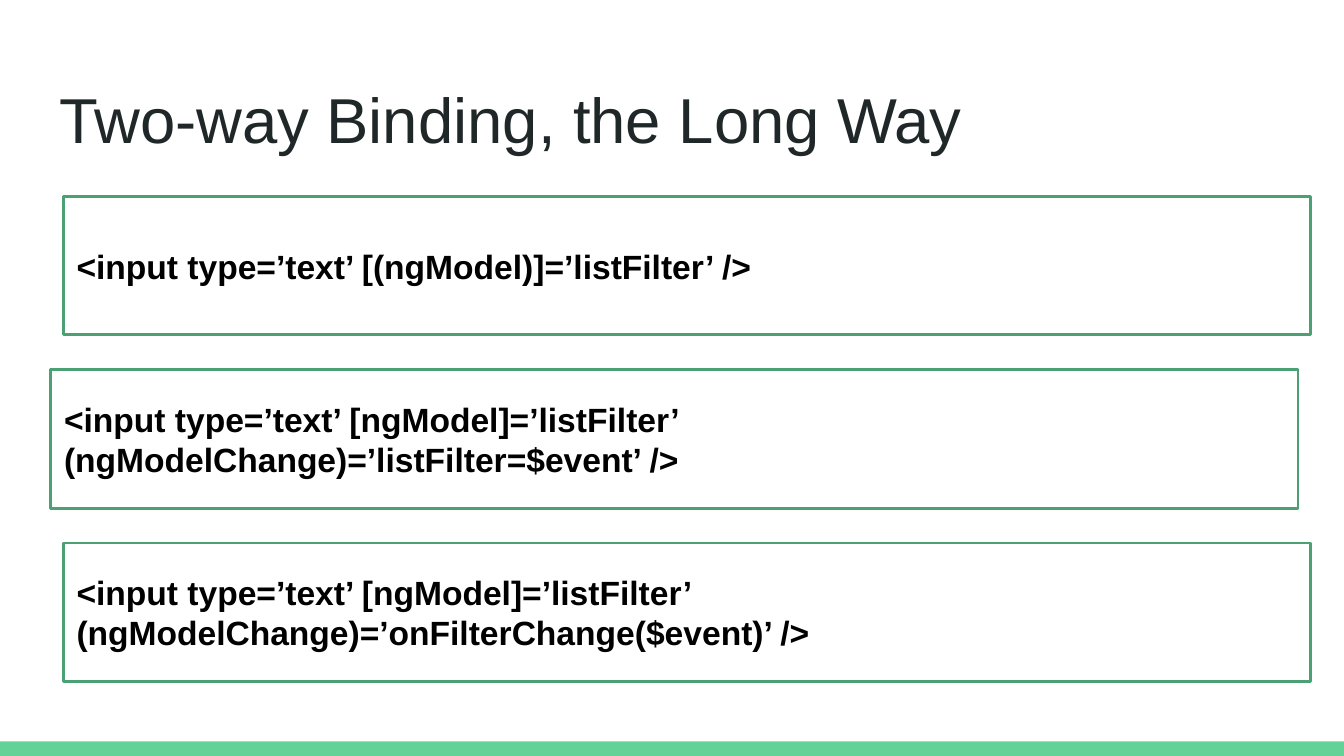
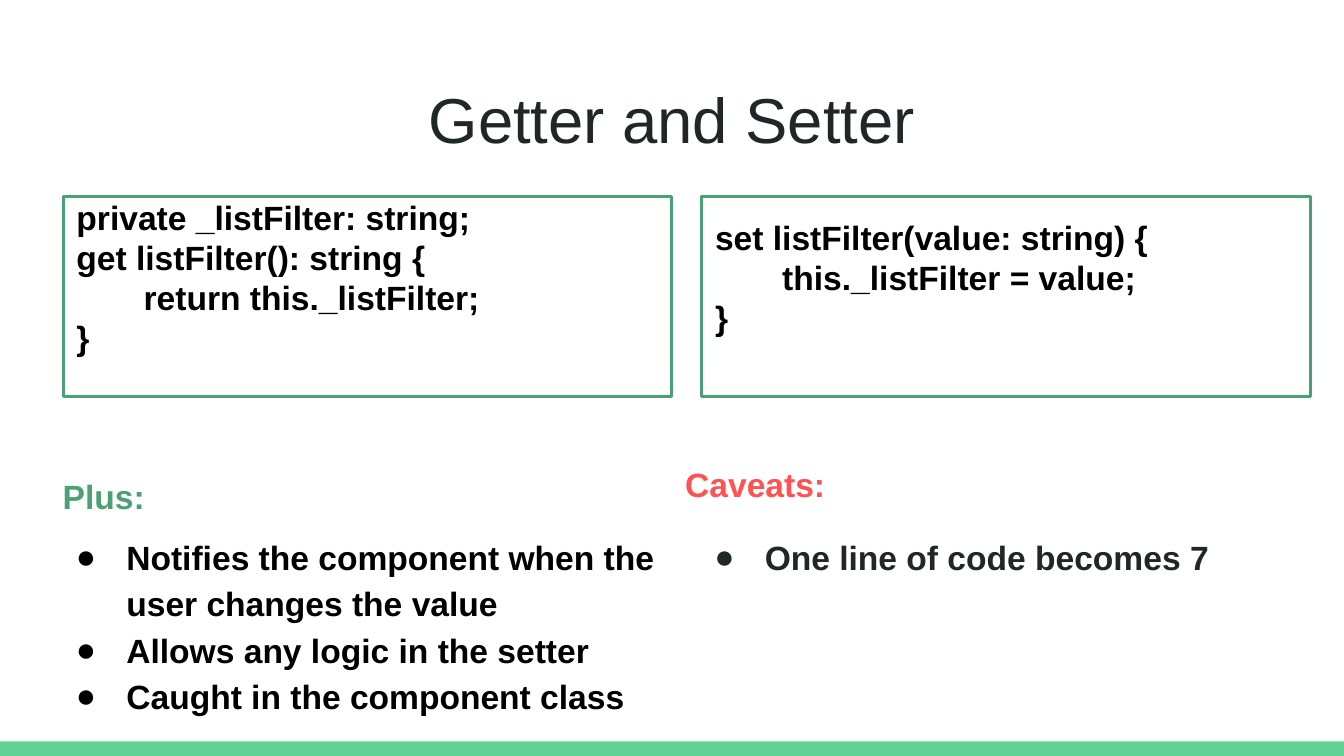
from lxml import etree
from pptx import Presentation
from pptx.dml.color import RGBColor
from pptx.enum import shapes, text
from pptx.oxml import ns
from pptx.util import Pt

WHITE = RGBColor(0xFF, 0xFF, 0xFF)
BLACK = RGBColor(0x00, 0x00, 0x00)
INK = RGBColor(0x20, 0x27, 0x29)
BAND_GREEN = RGBColor(0x63, 0xD2, 0x97)
LINE_GREEN = RGBColor(0x4B, 0xA1, 0x73)
RED = RGBColor(0xFF, 0x52, 0x52)

FONT = "Arial"
PAGE_WIDTH, PAGE_HEIGHT = 720, 405
BAND_HEIGHT = 7.8
INSET = 7.2
TITLE_BOX = (24.5, 35.5, 671, 45.4)
CODE_LEFT, CODE_TOP, CODE_WIDTH = 33.9, 105.1, 668.2
TWO_CONTENT, TITLE_ONLY = 3, 5


def place(shape, box):
    shape.left, shape.top, shape.width, shape.height = map(Pt, box)


def write(shape, words, size, color, bold=False, align=text.PP_ALIGN.LEFT,
          anchor=text.MSO_ANCHOR.TOP):
    """Fill a shape with text in one uniform style."""
    frame = shape.text_frame
    frame.text = words
    frame.word_wrap = True
    frame.auto_size = text.MSO_AUTO_SIZE.NONE
    frame.vertical_anchor = anchor
    frame.margin_left = frame.margin_right = Pt(INSET)
    frame.margin_top = frame.margin_bottom = Pt(INSET)
    for para in frame.paragraphs:
        para.alignment = align
        para.space_before = Pt(0)
        for span in para.runs:
            span.font.name = FONT
            span.font.size = Pt(size)
            span.font.bold = bold
            span.font.color.rgb = color
    return frame


def add_page(deck, layout, title, align=text.PP_ALIGN.LEFT):
    """Add a page with the bottom band and the title."""
    page = deck.slides.add_slide(deck.slide_layouts[layout])
    band = page.shapes.add_shape(
        shapes.MSO_SHAPE.RECTANGLE, 0, Pt(PAGE_HEIGHT - BAND_HEIGHT),
        Pt(PAGE_WIDTH), Pt(BAND_HEIGHT))
    band.shadow.inherit = False
    band.fill.solid()
    band.fill.fore_color.rgb = BAND_GREEN
    band.line.fill.background()
    place(page.shapes.title, TITLE_BOX)
    write(page.shapes.title, title, 34, INK, align=align)
    return page


def add_code_box(page, box, code, space_below=0):
    """Add an outlined code box; space_below lifts the centred text."""
    panel = page.shapes.add_shape(shapes.MSO_SHAPE.RECTANGLE, *map(Pt, box))
    panel.shadow.inherit = False
    panel.fill.solid()
    panel.fill.fore_color.rgb = WHITE
    panel.line.color.rgb = LINE_GREEN
    panel.line.width = Pt(1.5)
    frame = write(panel, code, 18, BLACK, True, anchor=text.MSO_ANCHOR.MIDDLE)
    frame.margin_bottom = Pt(INSET + space_below)


def add_heading(page, box, words, color):
    write(page.shapes.add_textbox(*map(Pt, box)), words, 18, color, True)


def fill_bullets(holder, box, items, color):
    place(holder, box)
    frame = write(holder, "\n".join(items), 18, color, True)
    for para in frame.paragraphs:
        para.line_spacing = 1.15
        props = para._p.get_or_add_pPr()
        props.set("marL", str(Pt(36)))
        props.set("indent", str(-Pt(27)))
        tint = etree.SubElement(props, ns.qn("a:buClr"))
        etree.SubElement(tint, ns.qn("a:srgbClr"), val=str(color))
        etree.SubElement(props, ns.qn("a:buFont"), typeface=FONT)
        etree.SubElement(props, ns.qn("a:buChar"), char="●")


def build_binding_page(deck):
    page = add_page(deck, TITLE_ONLY, "Two-way Binding, the Long Way")
    snippets = [
        (0, "<input type=’text’ [(ngModel)]=’listFilter’ />"),
        (-6.7, "<input type=’text’ [ngModel]=’listFilter’\v"
               "(ngModelChange)=’listFilter=$event’ />"),
        (0, "<input type=’text’ [ngModel]=’listFilter’\v"
            "(ngModelChange)=’onFilterChange($event)’ />"),
    ]
    for row, (shift, code) in enumerate(snippets):
        box = (CODE_LEFT + shift, CODE_TOP + row * 92.9, CODE_WIDTH, 74.3)
        add_code_box(page, box, code)


def build_accessor_page(deck):
    page = add_page(deck, TWO_CONTENT, "Getter and Setter",
                    text.PP_ALIGN.CENTER)
    lists = [
        (24.5, BLACK, ["Notifies the component when the user changes the value",
                       "Allows any logic in the setter",
                       "Caught in the component class"]),
        (366.5, INK, ["One line of code becomes 7"]),
    ]
    for index, (left, color, items) in enumerate(lists, start=1):
        fill_bullets(page.placeholders[index], (left, 277.2, 335.5, 216.7),
                     items, color)

    add_heading(page, (26.5, 247.7, 62, 30.2), "Plus:", LINE_GREEN)
    add_heading(page, (360, 241.2, 98.6, 30.2), "Caveats:", RED)

    accessors = [
        "private _listFilter: string;\nget listFilter(): string {\n"
        "\treturn this._listFilter;\n}",
        "set listFilter(value: string) {\n\tthis._listFilter = value;\n}",
    ]
    gap = 16
    width = (CODE_WIDTH - gap) / 2
    for column, code in enumerate(accessors):
        box = (CODE_LEFT + column * (width + gap), CODE_TOP, width, 107.3)
        add_code_box(page, box, code, space_below=20.7)


def main():
    deck = Presentation()
    deck.slide_width, deck.slide_height = Pt(PAGE_WIDTH), Pt(PAGE_HEIGHT)
    build_binding_page(deck)
    build_accessor_page(deck)
    deck.save("out.pptx")


if __name__ == "__main__":
    main()
